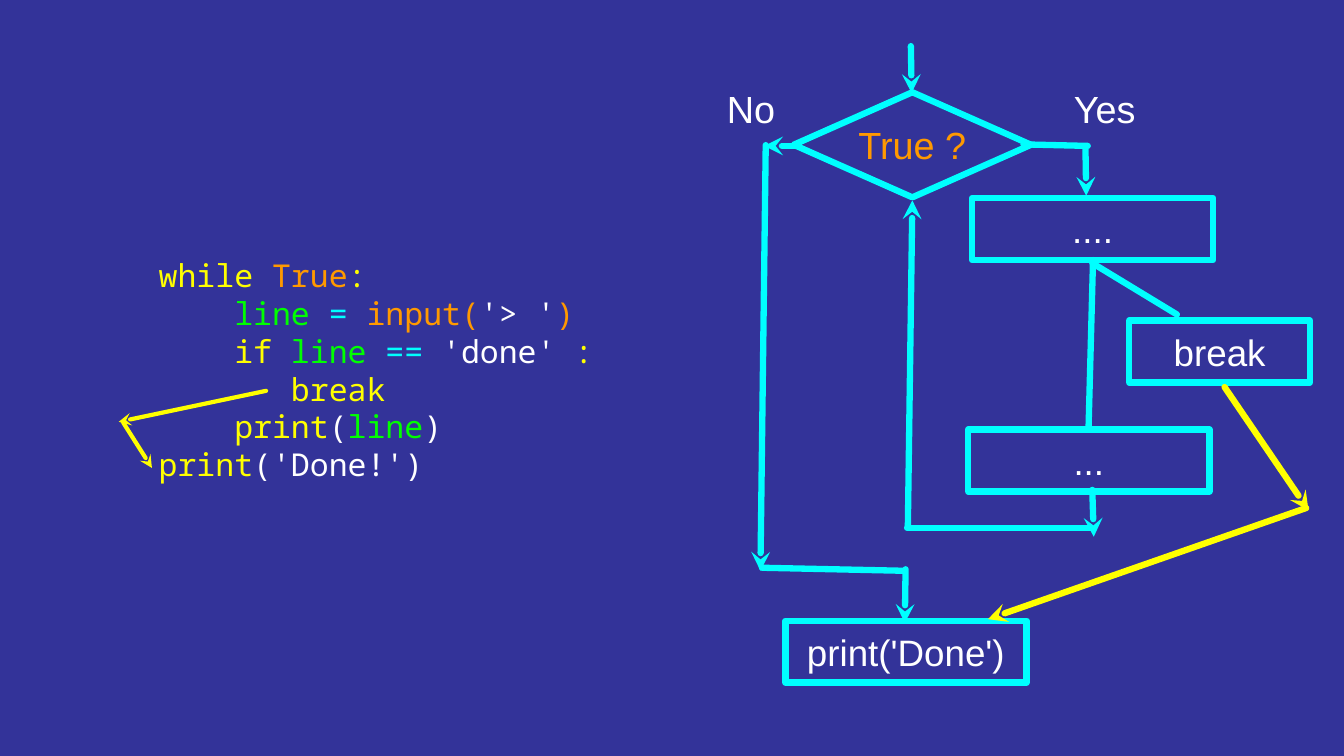
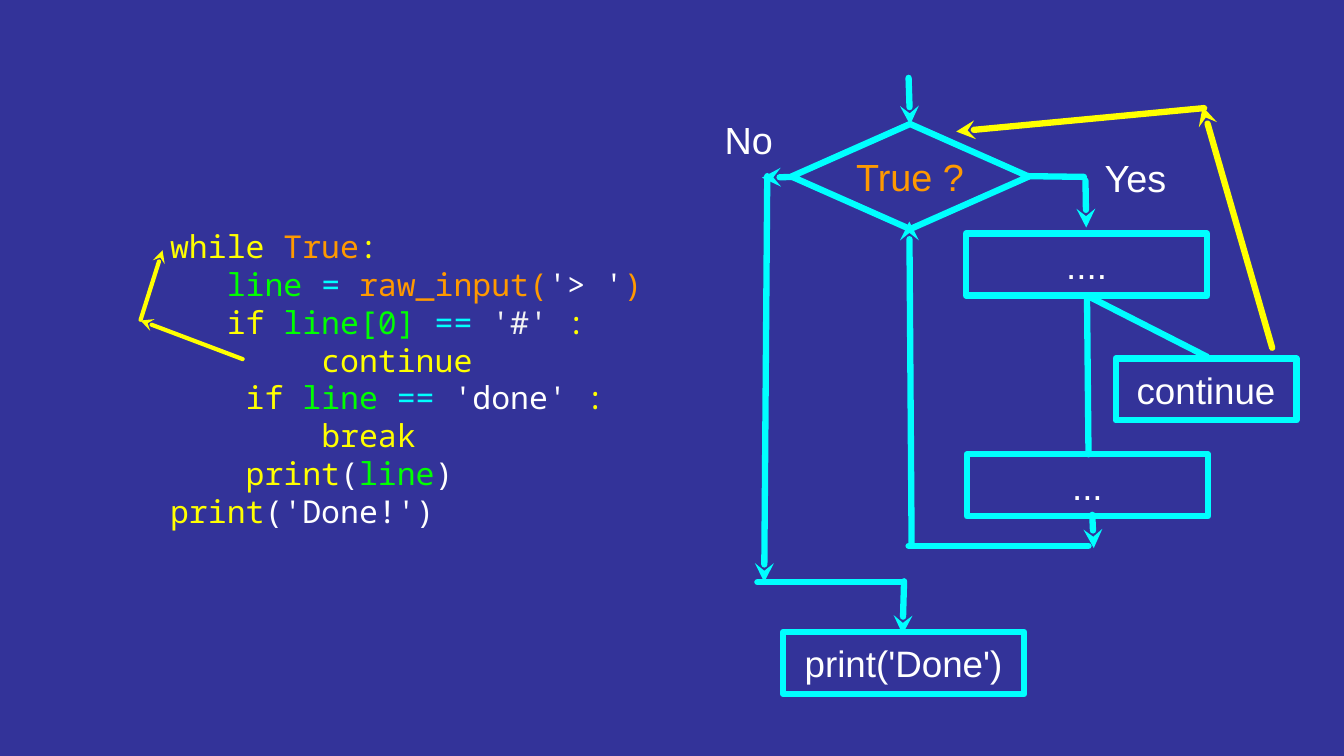
from dataclasses import dataclass

from lxml import etree
from pptx import Presentation
from pptx.dml.color import RGBColor
from pptx.enum.shapes import MSO_CONNECTOR, MSO_SHAPE
from pptx.enum.text import MSO_ANCHOR, PP_ALIGN
from pptx.oxml.ns import qn
from pptx.util import Pt

DIAMOND, RECTANGLE = MSO_SHAPE.DIAMOND, MSO_SHAPE.RECTANGLE
STRAIGHT = MSO_CONNECTOR.STRAIGHT
MIDDLE = MSO_ANCHOR.MIDDLE
LEFT, CENTER = PP_ALIGN.LEFT, PP_ALIGN.CENTER

EMU_PER_PX = 9144  # 100 px to the inch
BLANK_LAYOUT = 6
DIAMOND_SIZE = (314, 139)
STEP_SIZE = (319, 82)
JUMP_SIZE = (239, 82)


@dataclass(frozen=True)
class Theme:
    background: str = "333399"
    flow: str = "00FFFF"
    jump: str = "FFFF00"
    keyword: str = "FFFF00"
    value: str = "FF9900"
    name: str = "00FF00"
    operator: str = "00FFFF"
    text: str = "FFFFFF"
    soft_text: str = "F3F3F3"
    label_font: str = "Arial"
    code_font: str = "Noto Sans Mono"
    label_size: int = 36
    box_size: int = 35
    code_size: int = 30
    code_leading: int = 36
    code_character: int = 25  # px of indent per character
    thick: int = 6
    thin: int = 4

    def colour(self, role):
        return RGBColor.from_string(getattr(self, role))


def set_values(target, values):
    for attribute, value in values.items():
        setattr(target, attribute, value)


def px(*lengths):
    return [length * EMU_PER_PX for length in lengths]


class SlideBuilder:
    def __init__(self, presentation, theme):
        self.presentation = presentation
        self.theme = theme
        self.slide = None
        fill = presentation.slide_master.background.fill
        fill.solid()
        fill.fore_color.rgb = theme.colour("background")

    def new_slide(self):
        layout = self.presentation.slide_layouts[BLANK_LAYOUT]
        self.slide = self.presentation.slides.add_slide(layout)

    def style_line(self, shape, role, width, arrow=False):
        shape.line.color.rgb = self.theme.colour(role)
        shape.line.width = Pt(width)
        line = shape._element.spPr.find(qn("a:ln"))
        line.set("cap", "rnd")
        etree.SubElement(line, qn("a:round"))
        if arrow:
            etree.SubElement(line, qn("a:tailEnd"), type="stealth")

    def prepare_frame(self, shape):
        frame = shape.text_frame
        set_values(frame, dict(
            word_wrap=True, vertical_anchor=MIDDLE, margin_left=0,
            margin_right=0, margin_top=0, margin_bottom=0))
        return frame

    def add_run(self, paragraph, text, role, font, size):
        run = paragraph.add_run()
        run.text = text
        set_values(run.font, dict(name=font, size=Pt(size)))
        run.font.color.rgb = self.theme.colour(role)

    def write_centred(self, shape, text, role, size):
        paragraph = self.prepare_frame(shape).paragraphs[0]
        paragraph.alignment = CENTER
        self.add_run(paragraph, text, role, self.theme.label_font, size)

    def box(self, kind, position, size, text, role, text_size):
        shape = self.slide.shapes.add_shape(kind, *px(*position, *size))
        shape.shadow.inherit = False
        shape.fill.background()
        self.style_line(shape, "flow", self.theme.thick)
        self.write_centred(shape, text, role, text_size)

    def decision(self, position, text):
        self.box(DIAMOND, position, DIAMOND_SIZE, text, "value",
                 self.theme.label_size)

    def step(self, position, text, size=STEP_SIZE):
        self.box(RECTANGLE, position, size, text, "text", self.theme.box_size)

    def label(self, bounds, text):
        shape = self.slide.shapes.add_textbox(*px(*bounds))
        self.write_centred(shape, text, "text", self.theme.label_size)

    def connectors(self, segments, role, width, arrow):
        """Draw each segment (x1, y1, x2, y2); an arrow points at its end."""
        for segment in segments:
            connector = self.slide.shapes.add_connector(STRAIGHT, *px(*segment))
            self.style_line(connector, role, width, arrow)
            etree.SubElement(connector._element.spPr, qn("a:effectLst"))

    def code(self, bounds, lines):
        """Write lines of (indent in characters, [(role, text), ...])."""
        theme = self.theme
        frame = self.prepare_frame(self.slide.shapes.add_textbox(*px(*bounds)))
        for number, (indent, tokens) in enumerate(lines):
            paragraph = frame.add_paragraph() if number else frame.paragraphs[0]
            set_values(paragraph, dict(
                alignment=LEFT, line_spacing=Pt(theme.code_leading)))
            margin = indent * theme.code_character * EMU_PER_PX
            properties = paragraph._p.get_or_add_pPr()
            properties.set("marL", str(margin))
            properties.set("indent", "0")
            for role, text in tokens:
                self.add_run(paragraph, text, role, theme.code_font,
                             theme.code_size)

    def loop_chart(self, chart):
        self.decision(chart["decision"], "True ?")
        self.step(chart["first_step"], "....")
        self.step(chart["last_step"], "...")
        self.step(chart["end"], "print('Done')")
        jump_position, jump_text = chart["jump"]
        self.step(jump_position, jump_text, JUMP_SIZE)
        self.label(chart["no"], "No")
        self.label(chart["yes"], "Yes")
        thick, thin = self.theme.thick, self.theme.thin
        self.connectors(chart["flow_lines"], "flow", thick, False)
        self.connectors(chart["flow_arrows"], "flow", thick, True)
        self.connectors(chart["jump_arrows"], "jump", thick, True)
        self.connectors(chart["code_arrows"], "jump", thin, True)


def read_line(indent, function):
    return (indent, [("name", "line "), ("operator", "= "),
                     ("value", function + "("), ("text", "'> '"), ("value", ")")])


def keyword_line(indent, word):
    return (indent, [("keyword", word)])


WHILE_TRUE = (0, [("keyword", "while "), ("value", "True"), ("keyword", ":")])
IF_DONE = (4, [("keyword", "if "), ("name", "line "), ("operator", "== "),
               ("text", "'done' "), ("keyword", ":")])
IF_COMMENT = (3, [("keyword", "if"), ("name", " line[0] "), ("operator", "== "),
                  ("soft_text", "'#' "), ("keyword", ":")])
PRINT_LINE = (4, [("keyword", "print"), ("text", "("), ("name", "line"),
                  ("text", ")")])
PRINT_DONE = (0, [("keyword", "print"), ("text", "('Done!')")])

BREAK_CODE = [WHILE_TRUE, read_line(4, "input"), IF_DONE,
              keyword_line(7, "break"), PRINT_LINE, PRINT_DONE]
CONTINUE_CODE = [WHILE_TRUE, read_line(3, "raw_input"), IF_COMMENT,
                 keyword_line(8, "continue"), IF_DONE,
                 keyword_line(8, "break"), PRINT_LINE, PRINT_DONE]

BREAK_CHART = dict(
    decision=(1050, 122),
    first_step=(1286, 262),
    last_step=(1281, 568),
    end=(1039, 821),
    jump=((1494, 424), "break"),
    no=(954, 110, 79, 68),
    yes=(1404, 110, 115, 68),
    flow_lines=[(1354, 191, 1439, 193), (1446, 344, 1440, 568),
                (1445, 348, 1557, 416), (1443, 698, 1200, 698),
                (1008, 751, 1196, 755)],
    flow_arrows=[(1205, 61, 1206, 123), (1436, 197, 1437, 259),
                 (1445, 648, 1447, 710), (1201, 698, 1207, 265),
                 (1055, 193, 1011, 193), (1013, 192, 1006, 755),
                 (1198, 753, 1197, 824)],
    jump_arrows=[(1620, 512, 1731, 675), (1728, 672, 1307, 819)],
    code_arrows=[(352, 517, 157, 558), (163, 559, 201, 619)],
)

CONTINUE_CHART = dict(
    decision=(1047, 164),
    first_step=(1278, 309),
    last_step=(1279, 601),
    end=(1036, 836),
    jump=((1476, 474), "continue"),
    no=(951, 151, 79, 68),
    yes=(1454, 200, 96, 68),
    flow_lines=[(1360, 233, 1434, 234), (1438, 391, 1440, 601),
                (1438, 391, 1597, 472), (1440, 722, 1202, 722),
                (1002, 770, 1194, 770)],
    flow_arrows=[(1202, 103, 1204, 165), (1436, 239, 1437, 301),
                 (1445, 681, 1447, 725), (1206, 722, 1203, 293),
                 (1052, 234, 1008, 235), (1015, 233, 1011, 770),
                 (1196, 769, 1194, 839)],
    jump_arrows=[(1683, 460, 1591, 141), (1593, 143, 1265, 174)],
    code_arrows=[(321, 475, 186, 424), (186, 423, 215, 331)],
)

SLIDES = [
    (BREAK_CHART, (210, 307, 717, 364), BREAK_CODE),
    (CONTINUE_CHART, (225, 258, 688, 485), CONTINUE_CODE),
]


def main():
    presentation = Presentation()
    width, height = px(1778, 1000)
    set_values(presentation, dict(slide_width=width, slide_height=height))
    builder = SlideBuilder(presentation, Theme())
    for chart, code_bounds, code_lines in SLIDES:
        builder.new_slide()
        builder.loop_chart(chart)
        builder.code(code_bounds, code_lines)
    presentation.save("out.pptx")


if __name__ == "__main__":
    main()
